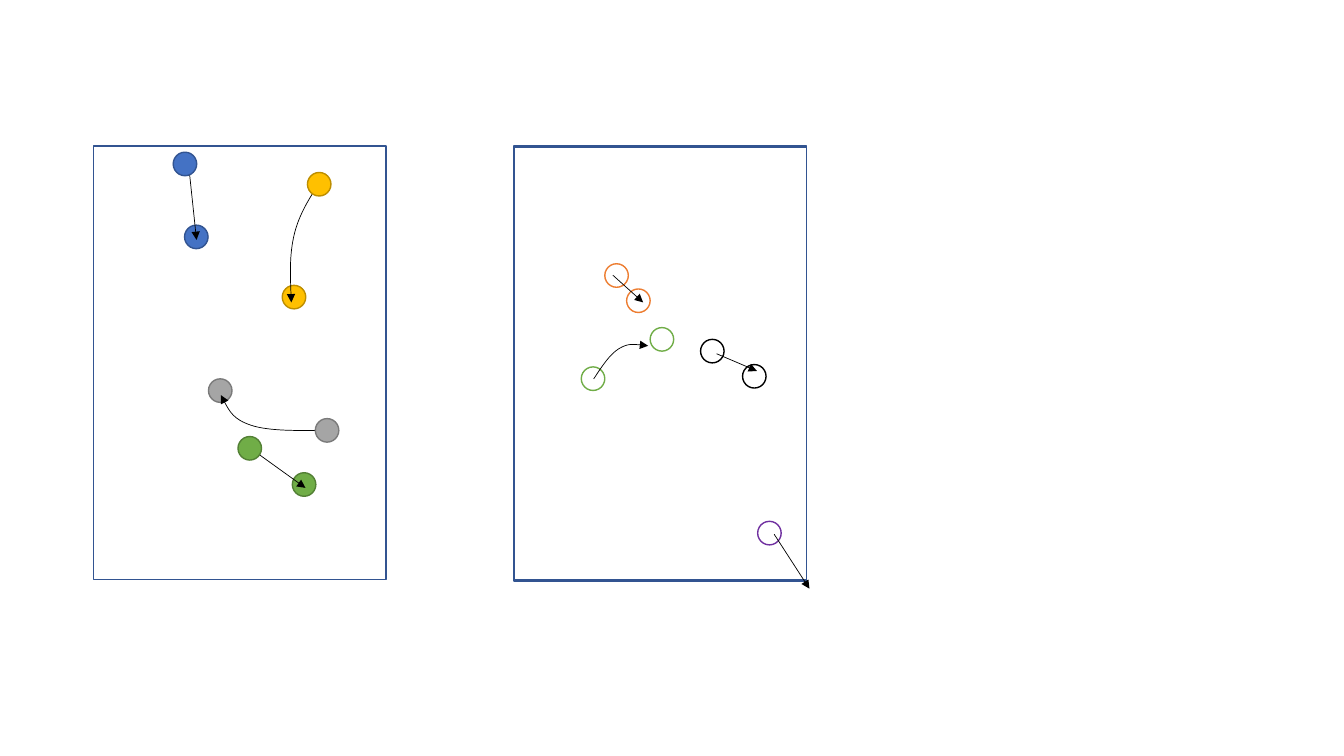
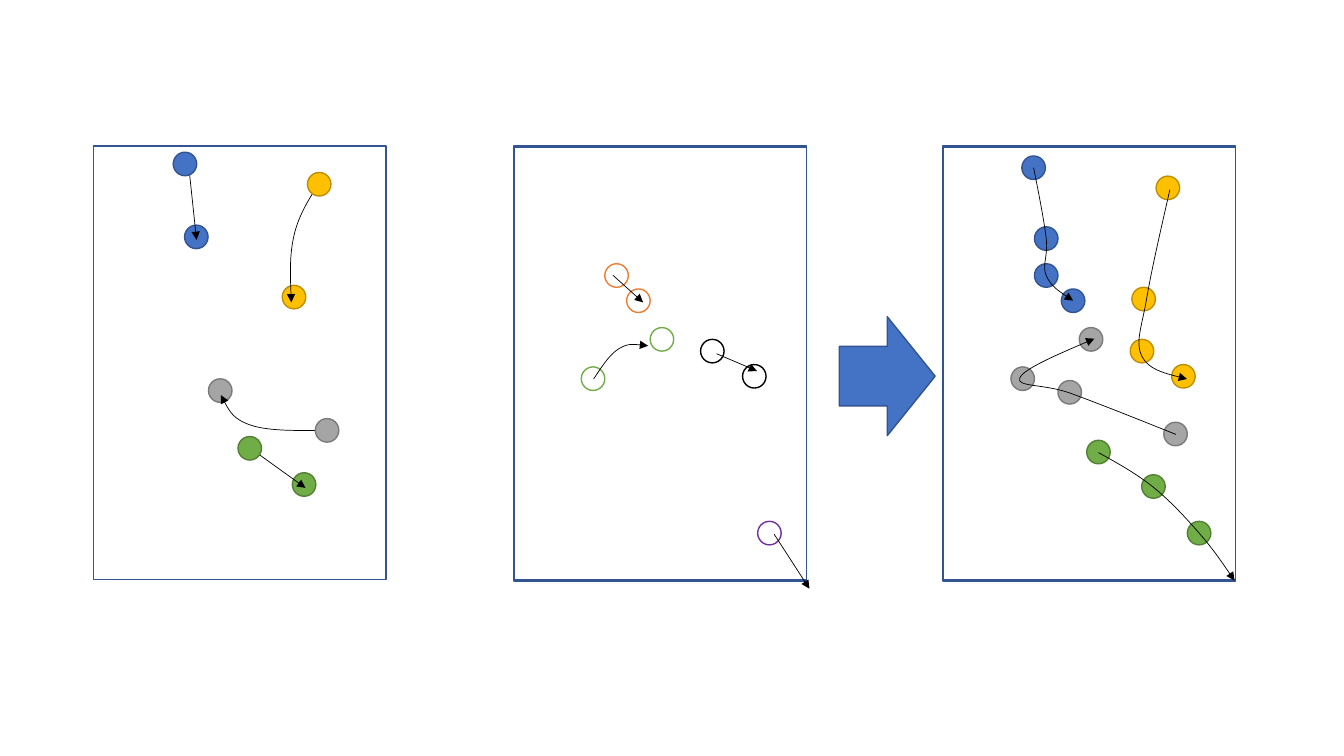
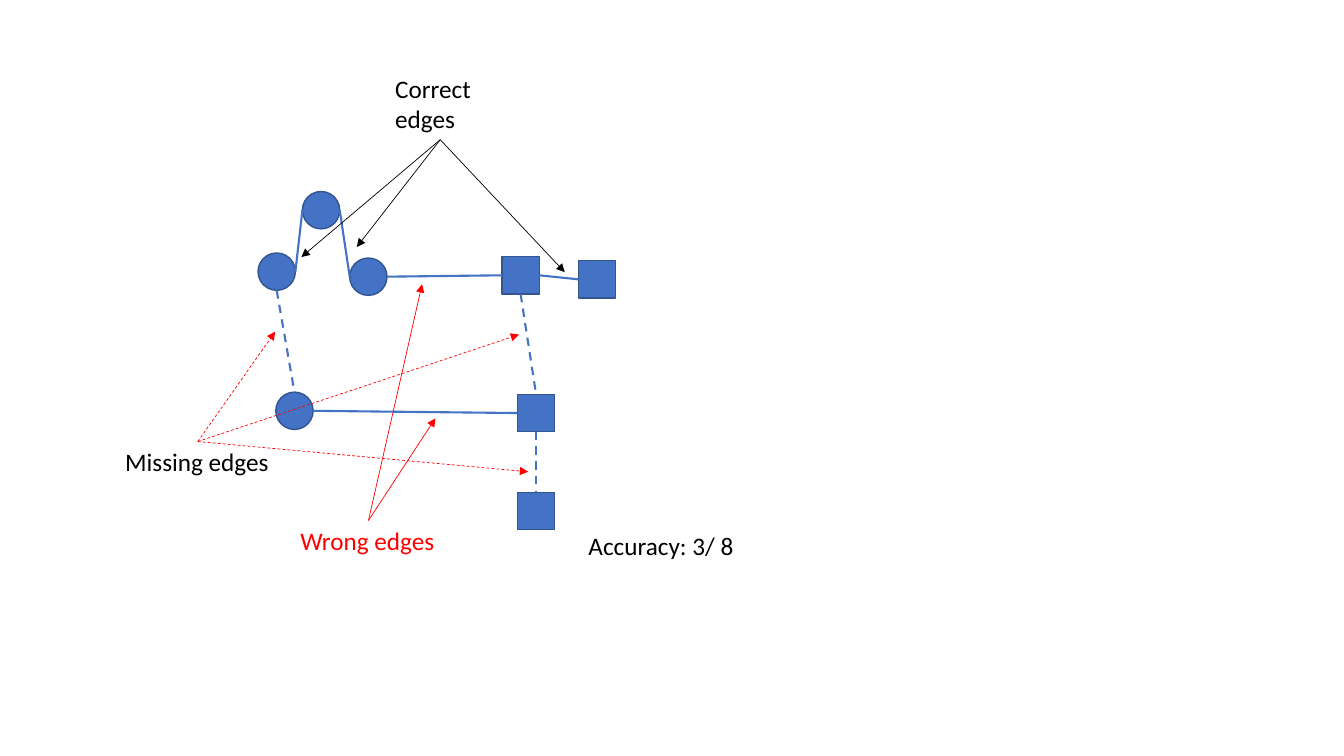
from collections import namedtuple
from itertools import pairwise

from lxml.etree import SubElement as Sub
from pptx import Presentation
from pptx.dml.color import RGBColor as Rgb
from pptx.enum.dml import MSO_LINE as Dash
from pptx.enum.shapes import MSO_CONNECTOR as Conn, MSO_SHAPE as Kind
from pptx.oxml.ns import qn
from pptx.util import Pt

FONT = "Calibri"
INK = {
    "blue": "4472C4", "navy": "325491", "gold": "FFC000", "ochre": "BD8E00",
    "grey": "A5A5A5", "slate": "7A7A7A", "green": "70AD47", "moss": "538035",
    "orange": "ED7D31", "purple": "7030A0", "black": "000000",
    "white": "FFFFFF", "red": "FF0000",
}
RIM = {"blue": "navy", "gold": "ochre", "grey": "slate", "green": "moss"}
TOP, LEFT, BOTTOM, RIGHT = range(4)
SIDE = {TOP: (0.5, 0), LEFT: (0, 0.5), BOTTOM: (0.5, 1), RIGHT: (1, 0.5)}
DOT, NODE = 16.8, 26.7
WIDE, HIGH = 208.8, 309.6
PANEL_TOP = 104.4
FIRST_X, SECOND_X, MERGED_X = 67, 367.2, 673.7

# Dots are centres and the trail is the arrow's waypoints, within the panel.
# Without a trail, the arrow runs through the dots.
Track = namedtuple("Track", "ink dots trail", defaults=[None])
FIRST = [
    Track("blue", [(65.1, 12.7), (73.2, 64.8)], [(67, 6.5), (73.4, 67)]),
    Track("gold", [(161, 27.2), (143, 107.8)],
          [(162.7, 23.8), (143.3, 62.6), (141.1, 111.6)]),
    Track("grey", [(166.6, 203), (90.3, 174.6)],
          [(166.3, 203), (112.3, 199.4), (90.7, 177.8)]),
    Track("green", [(111.4, 215.8), (150.2, 241.7)],
          [(110.2, 214.6), (151.2, 244.1)]),
]
SECOND = [
    Track("orange", [(73.2, 92.4), (88.8, 110.4)], [(70.6, 92.2), (92.2, 111.6)]),
    Track("black", [(141.6, 146.4), (171.6, 164.4)],
          [(144.7, 148.3), (173.5, 160.6)]),
    Track("green", [(56.4, 166.1), (105.6, 138)],
          [(56.9, 166.3), (74.9, 144.7), (95.8, 142.6)]),
    Track("purple", [(182.4, 276.4)], [(185.8, 277.2), (211, 316.1)]),
]
MERGED = [
    Track("blue", [(64.6, 15.4), (73.6, 66), (73.6, 92.4), (92.8, 110.4)]),
    Track("gold", [(160.5, 29.8), (143.2, 109.2), (142, 146.4), (171.6, 164.4)],
          [(162, 31), (145.4, 108.7), (141.8, 149.8), (174.2, 166.3)]),
    Track("grey", [(166, 205.6), (90.4, 175.8), (56.8, 166.1), (105.6, 138)],
          [(166.3, 205.9), (90.7, 176.4), (54.7, 165.6), (108, 137.5)]),
    Track("green", [(110.9, 218.5), (150.2, 243.1), (182.8, 276.4)],
          [(110.9, 218.9), (149.8, 243.4), (182.9, 276.5), (208.1, 310.3)]),
]

# Nodes are left and top, within the graph.
NODES = {
    "a": (Kind.OVAL, 104.3, 140.7), "b": (Kind.OVAL, 136, 96.8),
    "c": (Kind.OVAL, 169.8, 144.3), "d": (Kind.RECTANGLE, 278.5, 143.3),
    "e": (Kind.RECTANGLE, 333.2, 146.2), "f": (Kind.OVAL, 117, 240.1),
    "g": (Kind.RECTANGLE, 289.6, 241.7), "h": (Kind.RECTANGLE, 289.6, 311.7),
}
FOUND = ["ab", "bc", "cd", "de", "fg"]
MISSED = ["af", "dg", "gh"]

# Each label has an arrow from one side to each tip, within the graph.
Label = namedtuple("Label", "text box ink wrap side tips arrow dash")
LABELS = [
    Label("Accuracy: 3/ 8", (333.3, 335.1, 119.5, 29), "black", False,
          TOP, [], "black", False),
    Label("Correct edges", (195.2, 9, 78.5, 50.8), "black", True, BOTTOM,
          [(135.3, 143.6), (174.9, 136.4), (323.4, 154.4)], "black", False),
    Label("Wrong edges", (127.4, 331.8, 111.6, 29), "red", False, TOP,
          [(221.5, 163), (231, 258.8)], "red", False),
    Label("Missing edges", (2.3, 275.4, 118, 29), "black", False, TOP,
          [(116.6, 196.9), (290.8, 199), (297.3, 297)], "red", True),
]


def color(name):
    return Rgb.from_string(INK[name])


def shape(slide, kind, x, y, w, h, fill, rim):
    item = slide.shapes.add_shape(kind, Pt(x), Pt(y), Pt(w), Pt(h))
    item.shadow.inherit = False
    if fill:
        item.fill.solid()
        item.fill.fore_color.rgb = color(fill)
    else:
        item.fill.background()
    item.line.color.rgb = color(rim)
    item.line.width = Pt(1)
    return item


def stroke(item, ink, width, dash=False, head=False):
    item.line.color.rgb = color(ink)
    item.line.width = Pt(width)
    if dash:
        item.line.dash_style = Dash.DASH
    if head:
        ln = item._element.spPr.find(qn("a:ln"))
        Sub(ln, qn("a:tailEnd"), type="triangle")


def line(slide, start, end, ink, width, dash=False, head=False):
    ends = [Pt(v) for v in (*start, *end)]
    item = slide.shapes.add_connector(Conn.STRAIGHT, *ends)
    stroke(item, ink, width, dash, head)
    Sub(item._element.spPr, qn("a:effectLst"))
    return item


def shift(point, x, y):
    return point[0] + x, point[1] + y


def middle(a, b):
    return (a[0] + b[0]) / 2, (a[1] + b[1]) / 2


def smooth(points):
    """List two controls and an end for each step between the points.

    At an inner point the curve runs parallel to the line between its
    neighbours, and each control lies a sixth of that line away.
    """
    slopes = [((b[0] - a[0]) / 6, (b[1] - a[1]) / 6)
              for a, b in zip(points, points[2:])]
    slopes = [None, *slopes, None]
    bends = []
    for (a, b), (out, into) in zip(pairwise(points), pairwise(slopes)):
        near = shift(a, *out) if out else None
        far = shift(b, -into[0], -into[1]) if into else middle(near, b)
        bends += [near or middle(a, far), far, b]
    return bends


def curve(slide, points):
    """Draw a smooth arrow: straight steps first, each three then one bend."""
    pen = slide.shapes.build_freeform(*map(Pt, points[0]))
    pen.add_line_segments([(Pt(x), Pt(y)) for x, y in smooth(points)],
                          close=False)
    item = pen.convert_to_shape()
    item.shadow.inherit = False
    item.fill.background()
    stroke(item, "black", 0.5, head=True)
    route = item._element.spPr.find(".//" + qn("a:path"))
    steps = route.findall(qn("a:lnTo"))
    for i in range(0, len(steps), 3):
        bend = Sub(route, qn("a:cubicBezTo"))
        for step in steps[i:i + 3]:
            bend.append(step[0])
            route.remove(step)


def arrow(slide, points):
    if len(points) == 2:
        line(slide, *points, "black", 0.5, head=True)
    else:
        curve(slide, points)


def panel(slide, left, top, tracks, frames=2, hollow=False, cover=False):
    """Draw frames one point apart, dots and trails; cover hides the starts."""
    def draw(track, dots):
        fill, rim = track.ink, RIM.get(track.ink)
        if hollow:
            fill, rim = "white", track.ink
        for dot in dots:
            x, y = shift(dot, left - DOT / 2, top - DOT / 2)
            shape(slide, Kind.OVAL, x, y, DOT, DOT, fill, rim)

    for i in range(frames):
        shape(slide, Kind.RECTANGLE, left, top + i, WIDE, HIGH, None, "navy")
    split = 1 if cover else 0
    for track in tracks:
        draw(track, track.dots[split:])
    for track in tracks:
        trail = track.trail or track.dots
        arrow(slide, [shift(point, left, top) for point in trail])
    for track in tracks:
        draw(track, track.dots[:split])


def mid(item, side):
    """Give the middle of one side of a shape, in points."""
    across, down = SIDE[side]
    return ((item.left + across * item.width) / Pt(1),
            (item.top + down * item.height) / Pt(1))


def edge(slide, one, two, sides, dash):
    start, end = sides
    item = line(slide, mid(one, start), mid(two, end), "blue", 1.5, dash)
    if one.auto_shape_type == Kind.RECTANGLE:
        item.begin_connect(one, start)
    if two.auto_shape_type == Kind.RECTANGLE:
        item.end_connect(two, end)


def graph(slide, left, top):
    nodes = {key: shape(slide, kind, left + x, top + y, NODE, NODE,
                        "blue", "navy")
             for key, (kind, x, y) in NODES.items()}
    for pairs, sides, dash in ((FOUND, (RIGHT, LEFT), False),
                               (MISSED, (BOTTOM, TOP), True)):
        for one, two in pairs:
            edge(slide, nodes[one], nodes[two], sides, dash)


def label(slide, left, top, note):
    x, y, w, h = note.box
    box = slide.shapes.add_textbox(Pt(left + x), Pt(top + y), Pt(w), Pt(h))
    box.text_frame.word_wrap = note.wrap
    box.text_frame.text = note.text
    font = box.text_frame.paragraphs[0].runs[0].font
    font.name, font.size = FONT, Pt(18)
    font.color.rgb = color(note.ink)
    for tip in note.tips:
        item = line(slide, mid(box, note.side), shift(tip, left, top),
                    note.arrow, 0.5, note.dash, head=True)
        item.begin_connect(box, note.side)


def score(slide, left, top):
    graph(slide, left, top)
    for note in LABELS:
        label(slide, left, top, note)


def main():
    deck = Presentation()
    deck.slide_width, deck.slide_height = Pt(960), Pt(540)
    blank = deck.slide_layouts[6]
    split, merge, result = [deck.slides.add_slide(blank) for _ in range(3)]
    for slide in (split, merge):
        panel(slide, FIRST_X, PANEL_TOP, FIRST, frames=1, cover=True)
        panel(slide, SECOND_X, PANEL_TOP, SECOND, hollow=True)
    panel(merge, MERGED_X, PANEL_TOP, MERGED)
    shape(merge, Kind.RIGHT_ARROW, 599.5, 226.2, 68.5, 85, "blue", "navy")
    score(result, 80, 40)
    deck.save("out.pptx")


if __name__ == "__main__":
    main()
